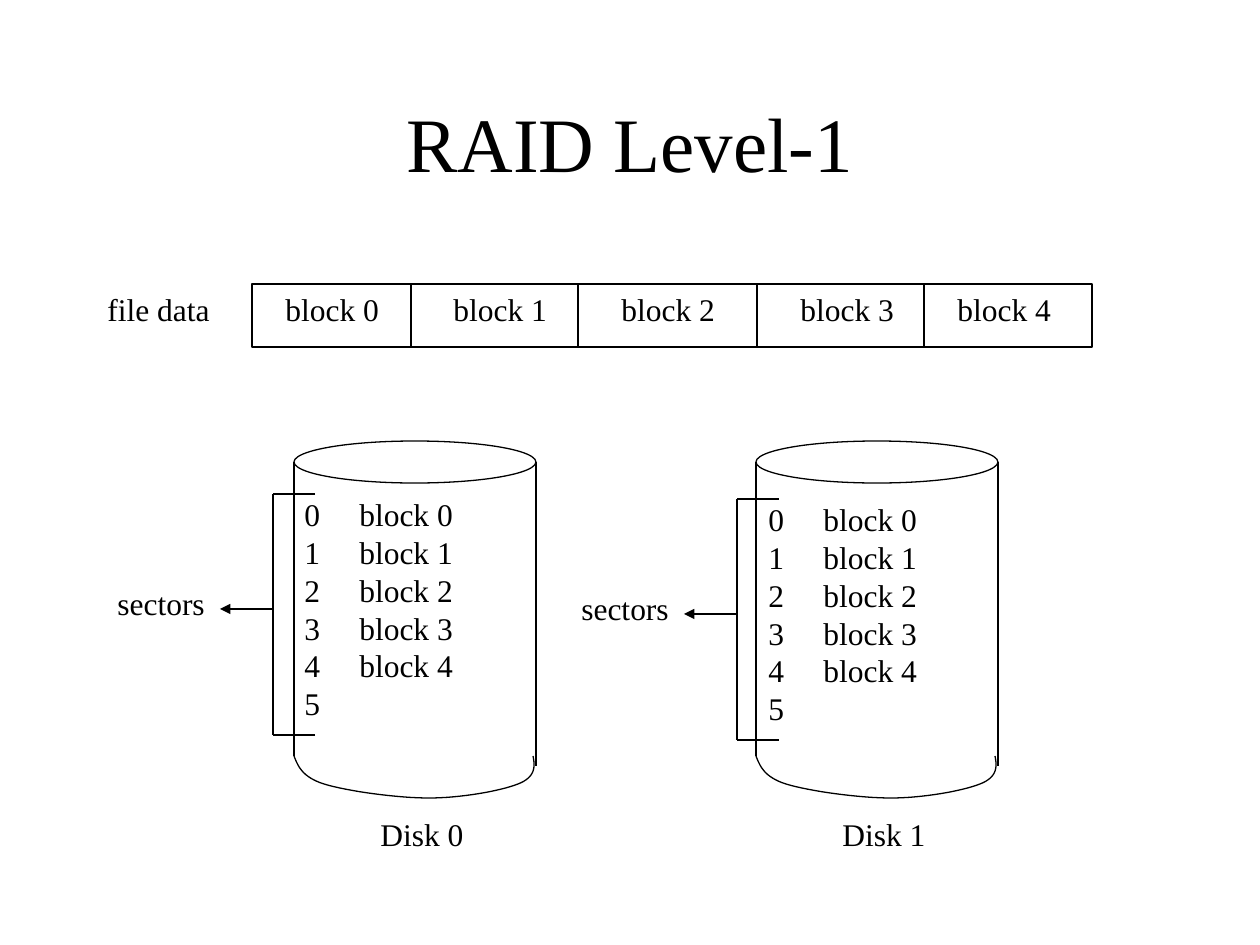
from lxml import etree
from pptx import Presentation
from pptx.dml.color import RGBColor
from pptx.enum.shapes import MSO_CONNECTOR, MSO_SHAPE
from pptx.enum.text import MSO_ANCHOR, PP_ALIGN
from pptx.oxml.ns import qn
from pptx.util import Pt

PX = 914400 / 126
BLACK = RGBColor(0, 0, 0)
FONT = "Times New Roman"
STRAIGHT = MSO_CONNECTOR.STRAIGHT
RECTANGLE, OVAL = MSO_SHAPE.RECTANGLE, MSO_SHAPE.OVAL
MIDDLE, CENTER = MSO_ANCHOR.MIDDLE, PP_ALIGN.CENTER

deck = Presentation()
deck.slide_width, deck.slide_height = round(1260 * PX), round(945 * PX)
page = deck.slides.add_slide(deck.slide_layouts[6])


def add_text(left, top, width, height, text, size=18):
    box = page.shapes.add_textbox(*[round(v * PX) for v in (left, top, width, height)])
    frame = box.text_frame
    frame.word_wrap = True
    frame.text = text
    for para in frame.paragraphs:
        for span in para.runs:
            span.font.name, span.font.size = FONT, Pt(size)
            span.font.color.rgb = BLACK
    return frame


def add_line(x1, y1, x2, y2):
    line = page.shapes.add_connector(STRAIGHT, *[round(v * PX) for v in (x1, y1, x2, y2)])
    line.line.color.rgb, line.line.width = BLACK, Pt(0.75)
    etree.SubElement(line._element.spPr, qn("a:effectLst"))
    return line


# Title
title = add_text(95, 84, 1070, 116, "RAID Level-1", 44)
title.vertical_anchor = MIDDLE
title.paragraphs[0].alignment = CENTER

# Outlines: the file data bar and the top of each disk
DISK_LEFTS = (294, 756)
DISK_WIDTH = 242
outlines = [page.shapes.add_shape(RECTANGLE, *[round(v * PX) for v in (252, 284, 840, 63)])]
for left in DISK_LEFTS:
    rim = [round(v * PX) for v in (left, 441, DISK_WIDTH, 42)]
    outlines.append(page.shapes.add_shape(OVAL, *rim))

# Disk bottoms, each a chain of cubic curves (control points from the disk's left edge)
BOTTOM_CURVES = (
    ((0, 0), (4, 10), (8, 21), (30, 28)),
    ((30, 28), (53, 35), (102, 42), (135, 42)),
    ((135, 42), (167, 42), (206, 35), (224, 28)),
    ((224, 28), (242, 21), (241, 10), (239, 0)),
)
STEPS = 16
for left in DISK_LEFTS:
    points = []
    for a, b, c, d in BOTTOM_CURVES:
        for step in range(1, STEPS + 1):
            t = step / STEPS
            u = 1 - t
            x, y = (u**3 * a[i] + 3 * u * u * t * b[i] + 3 * u * t * t * c[i] + t**3 * d[i]
                    for i in (0, 1))
            points.append((round((left + x) * PX), round((756 + y) * PX)))
    builder = page.shapes.build_freeform(round(left * PX), round(756 * PX))
    builder.add_line_segments(points, close=False)
    outlines.append(builder.convert_to_shape())

for outline in outlines:
    outline.shadow.inherit = False
    outline.fill.background()
    outline.line.color.rgb, outline.line.width = BLACK, Pt(0.75)

# File data blocks
add_text(95, 284, 140, 50, "file data")
for x in (411, 578, 757, 924):
    add_line(x, 284, x, 347)
for number, left in enumerate((273, 441, 609, 788, 945)):
    add_text(left, 284, 130, 50, f"block {number}")

# Disk sides and names
for number, left in enumerate(DISK_LEFTS):
    add_line(left, 462, left, 756)
    add_line(left + DISK_WIDTH, 462, left + DISK_WIDTH, 766)
    add_text(left + 74, 809, 120, 50, f"Disk {number}")

# Sector lists with bracket and arrow
SECTORS = "\n".join([f"{n}\tblock {n}" for n in range(5)] + ["5"])
for x, top in ((273, 494), (737, 499)):
    sectors = add_text(x + 19, top - 5, 190, 239, SECTORS)
    for para in sectors.paragraphs:
        tabs = etree.SubElement(para._p.get_or_add_pPr(), qn("a:tabLst"))
        etree.SubElement(tabs, qn("a:tab"), pos=str(round(55 * PX)), algn="l")
    add_text(x - 168, top + 84, 124, 50, "sectors")
    bottom, middle = top + 241, top + 115
    add_line(x + 42, top, x, top)
    add_line(x, top, x, bottom)
    add_line(x + 42, bottom, x, bottom)
    arrow = add_line(x, middle, x - 53, middle)
    etree.SubElement(arrow.line._get_or_add_ln(), qn("a:tailEnd"), type="triangle")

deck.save("out.pptx")
